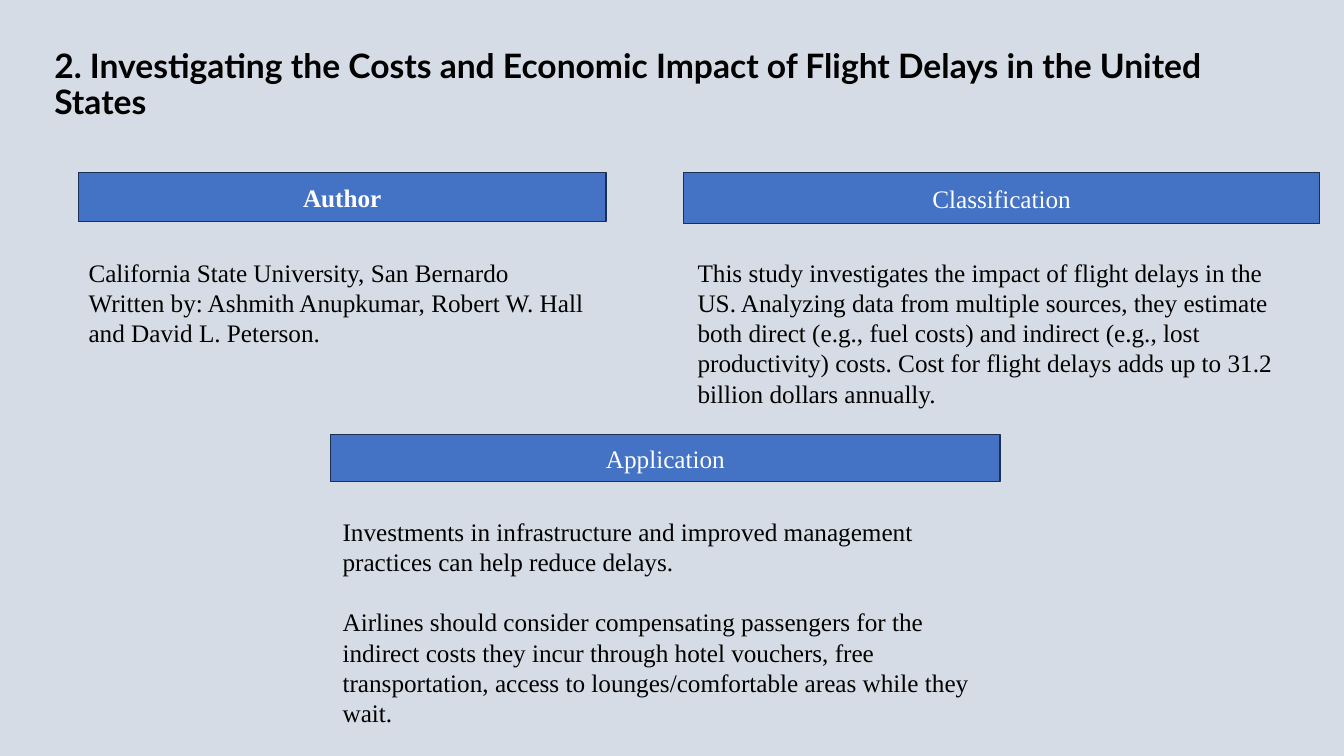
from pptx import Presentation
from pptx.dml.color import RGBColor
from pptx.enum.shapes import MSO_SHAPE
from pptx.enum.text import MSO_ANCHOR, PP_ALIGN
from pptx.util import Inches, Pt

RECT = MSO_SHAPE.RECTANGLE
TOP, MIDDLE = MSO_ANCHOR.TOP, MSO_ANCHOR.MIDDLE
LEFT, CENTER = PP_ALIGN.LEFT, PP_ALIGN.CENTER

BACKGROUND = RGBColor(0xD6, 0xDC, 0xE5)
BLUE = RGBColor(0x44, 0x72, 0xC4)
NAVY = RGBColor(0x1C, 0x30, 0x52)
BLACK = RGBColor(0, 0, 0)
WHITE = RGBColor(0xFF, 0xFF, 0xFF)

TITLE = "2. Investigating the Costs and Economic Impact of Flight Delays in the United States"

# heading, bold, heading box, body box, space between paragraphs, paragraphs
SECTIONS = [
    ("Author", True, (0.78, 1.71, 5.23, 0.49), (0.78, 2.5, 5.23, 1.32), 0,
     ["California State University, San Bernardo",
      "Written by: Ashmith Anupkumar, Robert W. Hall and David L. Peterson."]),
    ("Classification", False, (6.78, 1.71, 6.31, 0.51), (6.82, 2.5, 6.18, 1.92), 0,
     ["This study investigates the impact of flight delays in the US. "
      "Analyzing data from multiple sources, they estimate both direct "
      "(e.g., fuel costs) and indirect (e.g., lost productivity) costs. "
      "Cost for flight delays adds up to 31.2 billion dollars annually."]),
    ("Application", False, (3.28, 4.31, 6.64, 0.47), (3.3, 5.07, 6.63, 2.22), 21.6,
     ["Investments in infrastructure and improved management practices "
      "can help reduce delays.",
      "Airlines should consider compensating passengers for the indirect "
      "costs they incur through hotel vouchers, free transportation, access "
      "to lounges/comfortable areas while they wait."]),
]


def write(tf, paragraphs, font="Times New Roman", size=18, color=BLACK, bold=False,
          align=LEFT, anchor=TOP, line_spacing=None, gap=0):
    tf.word_wrap = True
    tf.vertical_anchor = anchor
    for i, text in enumerate(paragraphs):
        p = tf.add_paragraph() if i else tf.paragraphs[0]
        p.alignment = align
        p.line_spacing = line_spacing
        p.space_before = Pt(gap if i else 0)
        r = p.add_run()
        r.text = text
        r.font.name = font
        r.font.size = Pt(size)
        r.font.bold = bold
        r.font.color.rgb = color


class Deck:
    def __init__(self):
        self.prs = Presentation()
        self.prs.slide_width = Inches(13.33)
        self.prs.slide_height = Inches(7.5)
        self.s = self.prs.slides.add_slide(self.prs.slide_layouts[6])
        fill = self.s.background.fill
        fill.solid()
        fill.fore_color.rgb = BACKGROUND

    def text(self, shapes, box, paragraphs, **style):
        tb = shapes.add_textbox(*map(Inches, box))
        write(tb.text_frame, paragraphs, **style)

    def bar(self, shapes, box, label, bold):
        sp = shapes.add_shape(RECT, *map(Inches, box))
        sp.shadow.inherit = False
        sp.fill.solid()
        sp.fill.fore_color.rgb = BLUE
        sp.line.color.rgb = NAVY
        sp.line.width = Pt(1)
        write(sp.text_frame, [label], color=WHITE, bold=bold, align=CENTER, anchor=MIDDLE)

    def section(self, heading, bold, bar_box, body_box, gap, paragraphs):
        """Group a heading bar with the text below it."""
        shapes = self.s.shapes.add_group_shape().shapes
        self.bar(shapes, bar_box, heading, bold)
        self.text(shapes, body_box, paragraphs, gap=gap)


def main():
    deck = Deck()
    deck.text(deck.s.shapes, (0.44, 0.44, 11.76, 0.86), [TITLE],
              font="Lato", size=24, bold=True, line_spacing=0.9)
    for section in SECTIONS:
        deck.section(*section)
    deck.prs.save("out.pptx")


if __name__ == "__main__":
    main()
